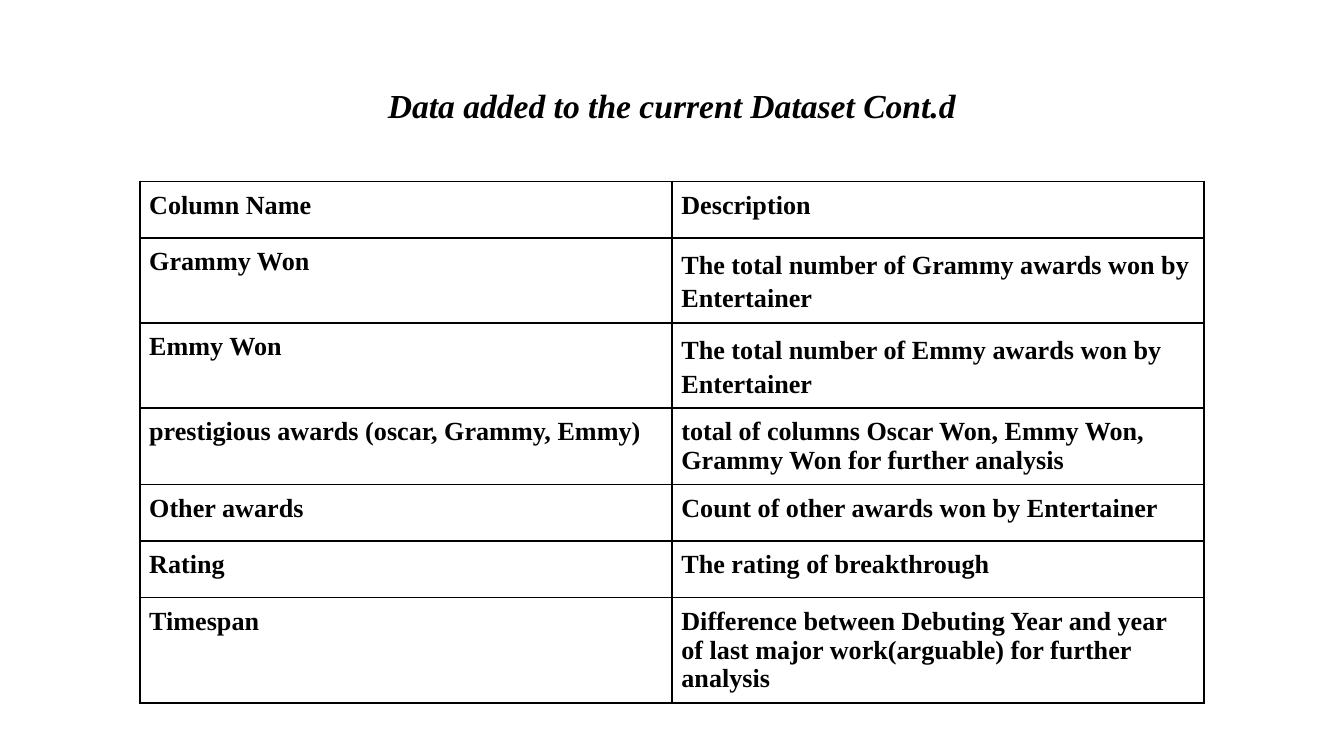
from lxml.etree import SubElement
from pptx import Presentation
from pptx.dml.color import RGBColor
from pptx.enum.text import MSO_ANCHOR, PP_ALIGN
from pptx.oxml.ns import qn
from pptx.util import Inches, Pt

FONT_NAME = "Times New Roman"
BLACK = "000000"
LOOSE_SPACING = 1.15
ROWS = [
    ("Column Name", "Description"),
    ("Grammy Won", "The total number of Grammy awards won by Entertainer"),
    ("Emmy Won", "The total number of Emmy awards won by Entertainer"),
    ("prestigious awards (oscar, Grammy, Emmy)",
     "total of columns Oscar Won, Emmy Won, Grammy Won for further analysis"),
    ("Other awards", "Count of other awards won by Entertainer"),
    ("Rating", "The rating of breakthrough"),
    ("Timespan", "Difference between Debuting Year and year of last major "
                 "work(arguable) for further analysis"),
]


def color(hex_value):
    return RGBColor.from_string(hex_value)


def format_text(paragraph, size, italic=False):
    for run in paragraph.runs:
        run.font.name = FONT_NAME
        run.font.size = Pt(size)
        run.font.bold = True
        run.font.italic = italic
        run.font.color.rgb = color(BLACK)


def set_margins(target, margin):
    """Give a cell or text frame the same margin on all four sides."""
    target.margin_left = target.margin_right = Inches(margin)
    target.margin_top = target.margin_bottom = Inches(margin)


def set_borders(cell, hex_value, width):
    properties = cell._tc.get_or_add_tcPr()
    for position, side in enumerate(("lnL", "lnR", "lnT", "lnB")):
        line = SubElement(properties, qn(f"a:{side}"), w=str(Pt(width)))
        fill = SubElement(line, qn("a:solidFill"))
        SubElement(fill, qn("a:srgbClr"), val=hex_value)
        # Borders must come before the cell fill
        properties.insert(position, line)


def add_title(slide, text):
    title = slide.shapes.title
    title.left, title.top = Inches(0.34), Inches(0.49)
    title.width, title.height = Inches(9.32), Inches(0.63)
    text_frame = title.text_frame
    text_frame.text = text
    text_frame.word_wrap = True
    text_frame.vertical_anchor = MSO_ANCHOR.TOP
    set_margins(text_frame, 0.1)
    paragraph = text_frame.paragraphs[0]
    paragraph.alignment = PP_ALIGN.CENTER
    paragraph.line_spacing = LOOSE_SPACING
    format_text(paragraph, 18, italic=True)


def fill_cell(cell, text):
    cell.text = text
    cell.fill.background()
    set_margins(cell, 0.07)
    set_borders(cell, BLACK, 1)
    paragraph = cell.text_frame.paragraphs[0]
    if text.startswith("The total number"):
        paragraph.line_spacing = LOOSE_SPACING
    format_text(paragraph, 14)


def add_column_table(slide, rows):
    column_width, row_height = 3.96, 0.42
    column_count = len(rows[0])
    table = slide.shapes.add_table(
        len(rows), column_count, Inches(1.04), Inches(1.35),
        Inches(column_width * column_count), Inches(row_height * len(rows)),
    ).table
    table.first_row = table.horz_banding = False
    for row_index, row in enumerate(rows):
        for column_index, text in enumerate(row):
            fill_cell(table.cell(row_index, column_index), text)


def main():
    presentation = Presentation()
    presentation.slide_width = Inches(10)
    # Widescreen, 16:9
    presentation.slide_height = presentation.slide_width * 9 // 16
    title_only_layout = presentation.slide_layouts[5]
    slide = presentation.slides.add_slide(title_only_layout)
    add_title(slide, "Data added to the current Dataset Cont.d")
    add_column_table(slide, ROWS)
    presentation.save("out.pptx")


if __name__ == "__main__":
    main()
